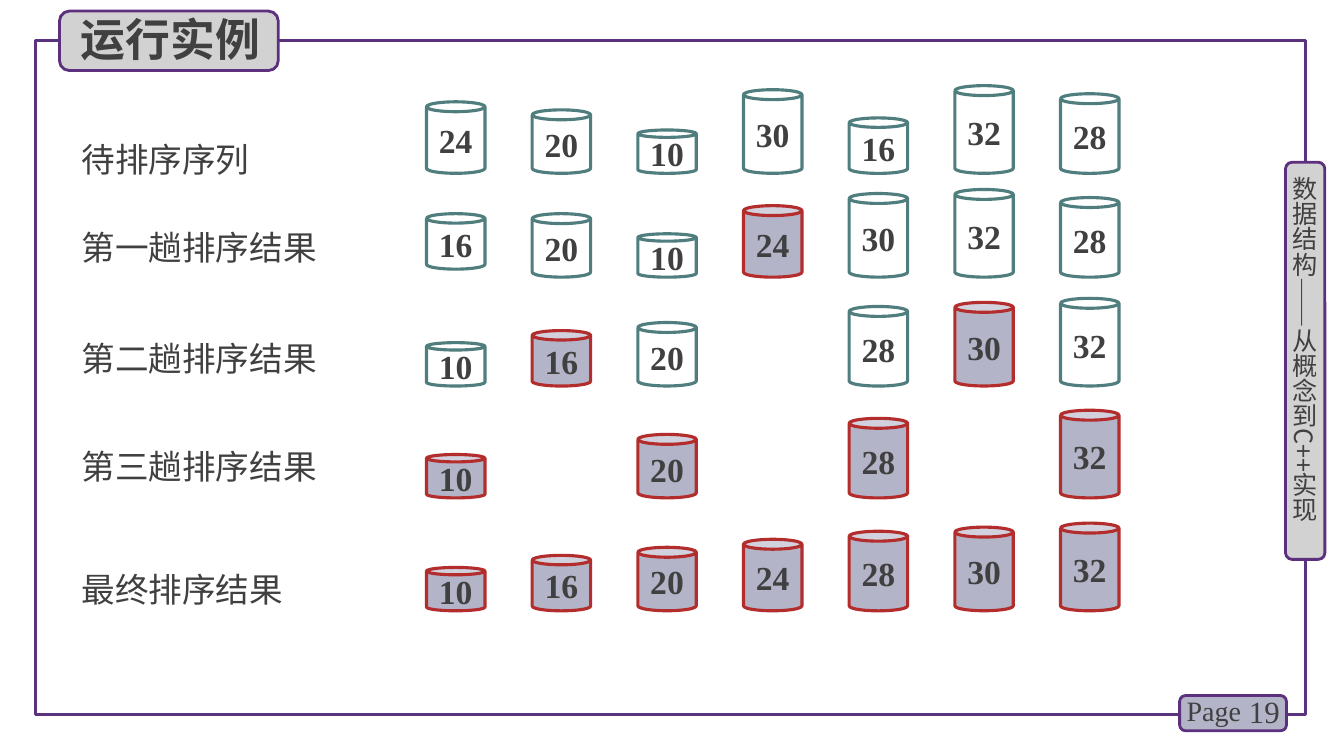
from pptx import Presentation
from pptx import util as u
from pptx.dml.color import RGBColor
from pptx.enum import shapes, text
from pptx.oxml.ns import qn
from lxml import etree

PURPLE = RGBColor(0x5C, 0x30, 0x7D)
FRAME_PURPLE = RGBColor(0x5A, 0x32, 0x7D)
TEAL = RGBColor(0x50, 0x7D, 0x7D)
RED = RGBColor(0xB4, 0x2D, 0x2D)
LILAC = RGBColor(0xB4, 0xB4, 0xC8)
GREY = RGBColor(0xD2, 0xD2, 0xD2)
INK = RGBColor(0x40, 0x40, 0x40)
SANS, SERIF = "Noto Sans CJK SC", "Times New Roman"

# Can grid, in grid cells: left edge, step, width
CAN_LEFT, CAN_STEP, CAN_WIDTH = 42.3, 10.48, 5.8

# Each pass: label, label top, label width, label font, base of the cans,
# values by column, and the columns of the settled values
PASSES = [
    ("待排序序列", 13.3, 20.6, SERIF, 17.2, [24, 20, 10, 30, 16, 32, 28], []),
    ("第一趟排序结果", 22, 27.5, SANS, 27.5, [16, 20, 10, 24, 30, 32, 28], [3]),
    ("第二趟排序结果", 33, 27.5, SANS, 38.3, [10, 16, 20, None, 28, 30, 32], [1, 5]),
    ("第三趟排序结果", 43.7, 29.3, SANS, 49.4,
     [10, None, 20, None, 28, None, 32], [0, 2, 4, 6]),
    ("最终排序结果", 55.9, 29.3, SANS, 60.6, [10, 16, 20, 24, 28, 30, 32], range(7)),
]
RAISED = {(1, 0): 0.8}  # (pass, column) of a can standing above its row's base


class Sheet:
    """A page on a grid of square cells, ten to the inch."""

    CELL = u.Inches(0.1)

    def __init__(self, deck):
        self.page = deck.slides.add_slide(deck.slide_layouts[5])

    def cells(self, *counts):
        return [round(count * self.CELL) for count in counts]

    def fill_text(self, box, words, size, font=SANS, bold=False,
                  align=text.PP_ALIGN.LEFT, anchor=text.MSO_ANCHOR.TOP):
        frame = box.text_frame
        frame.text = words
        frame.vertical_anchor = anchor
        para = frame.paragraphs[0]
        para.alignment = align
        span = para.runs[0].font
        span.size, span.bold, span.name = u.Pt(size), bold, font
        span.color.rgb = INK
        east_asian = etree.SubElement(para.runs[0]._r.rPr, qn("a:ea"))
        east_asian.set("typeface", SANS)
        return frame

    def shape(self, kind, place, line, width, fill=None):
        box = self.page.shapes.add_shape(kind, *self.cells(*place))
        box.shadow.inherit = False
        box.line.color.rgb, box.line.width = line, u.Pt(width)
        if fill is None:
            box.fill.background()
        else:
            box.fill.solid()
            box.fill.fore_color.rgb = fill
        return box

    def badge(self, place, fill):
        return self.shape(shapes.MSO_SHAPE.ROUNDED_RECTANGLE, place, PURPLE, 2, fill)

    def label(self, place, words, size, grow=True, **style):
        box = self.page.shapes.add_textbox(*self.cells(*place))
        frame = self.fill_text(box, words, size, **style)
        frame.word_wrap = True
        if grow:
            frame.auto_size = text.MSO_AUTO_SIZE.SHAPE_TO_FIT_TEXT
        return frame

    def title(self, place, words):
        box = self.page.shapes.title
        box.left, box.top, box.width, box.height = self.cells(*place)
        frame = self.fill_text(box, words, 32, bold=True)
        frame.auto_size = text.MSO_AUTO_SIZE.SHAPE_TO_FIT_TEXT
        self.page.shapes._spTree.append(box._element)  # in front of its badge

    def can(self, column, base, value, settled):
        height = 2.3 + 0.2 * value
        place = (CAN_LEFT + column * CAN_STEP, base - height, CAN_WIDTH, height)
        line, fill = (RED, LILAC) if settled else (TEAL, None)
        box = self.shape(shapes.MSO_SHAPE.CAN, place, line, 2.25, fill)
        box.adjustments[0] = 0.17
        frame = self.fill_text(box, str(value), 24, SERIF, True,
                               text.PP_ALIGN.CENTER, text.MSO_ANCHOR.MIDDLE)
        frame.word_wrap = False


def main():
    deck = Presentation()
    deck.slide_width, deck.slide_height = u.Inches(13.33), u.Inches(7.5)
    sheet = Sheet(deck)

    # Frame and page number
    sheet.shape(shapes.MSO_SHAPE.RECTANGLE, (3.5, 4, 126, 66.9), FRAME_PURPLE, 2.25)
    sheet.badge((117, 69, 10.6, 3.5), LILAC)
    sheet.label((122, 68.6, 5.9, 4), "19", 22, grow=False, font=SERIF,
                align=text.PP_ALIGN.RIGHT, anchor=text.MSO_ANCHOR.MIDDLE)
    sheet.label((116.7, 68.3, 7.8, 4.4), "Page", 20, font=SERIF)

    # Vertical book title
    sheet.badge((127.5, 16.1, 3.9, 39.4), GREY)
    book = sheet.label((127.9, 17.5, 3, 37.8), "数据结构——从概念到C++实现", 18)
    book.margin_left = book.margin_right = book.margin_top = book.margin_bottom = 0
    book._txBody.bodyPr.set("vert", "eaVert")

    # Title
    sheet.badge((5.9, 1.1, 21.7, 5.9), GREY)
    sheet.title((7, 0.7, 21.2, 6.4), "运行实例")

    # Sorting passes
    for row, (words, top, width, font, base, values, settled) in enumerate(PASSES):
        sheet.label((7.1, top, width, 5), words, 24, font=font,
                    anchor=text.MSO_ANCHOR.TOP if row else text.MSO_ANCHOR.MIDDLE)
        for column, value in enumerate(values):
            if value is not None:
                raised = RAISED.get((row, column), 0)
                sheet.can(column, base - raised, value, column in settled)

    deck.save("out.pptx")


if __name__ == "__main__":
    main()
